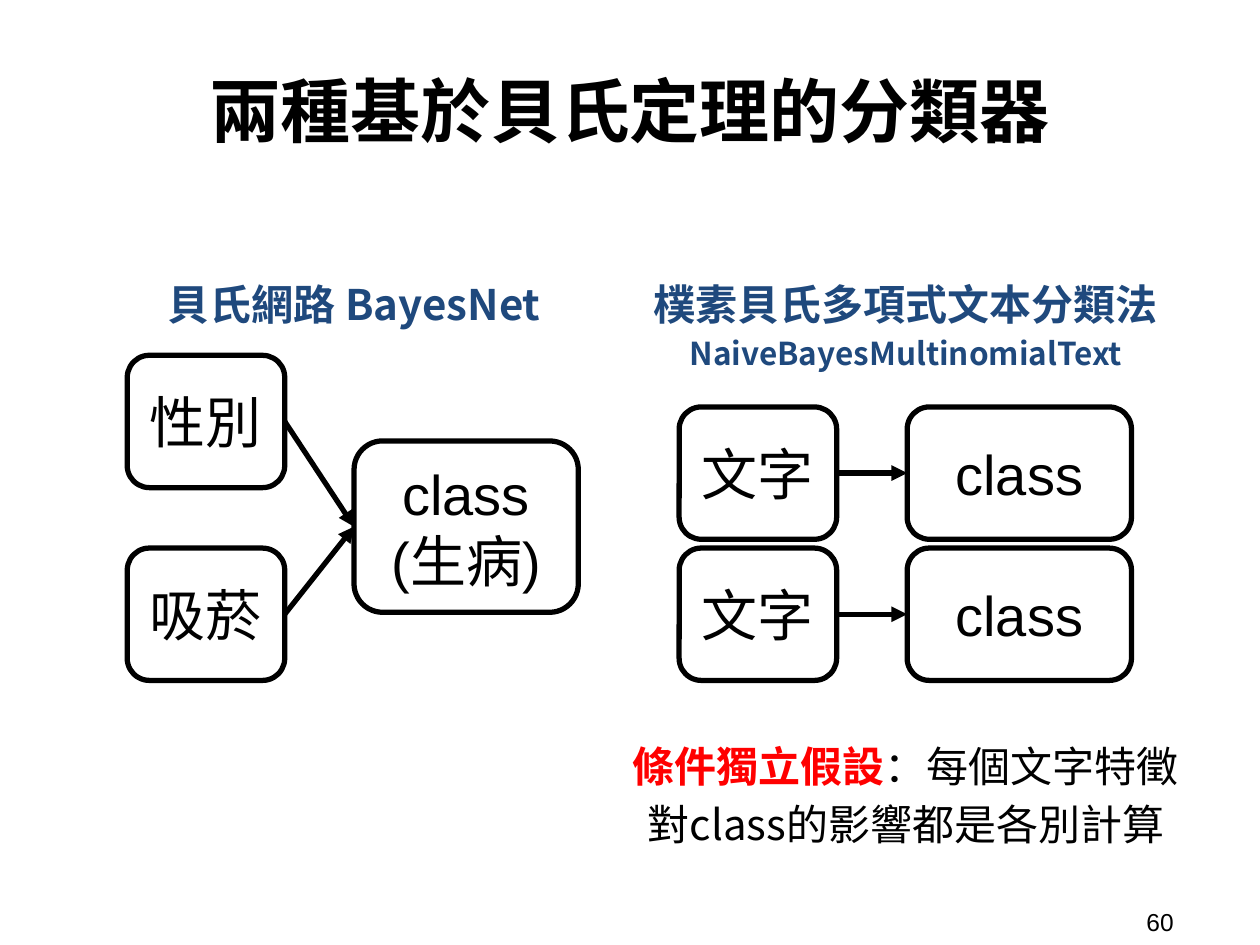
"""Build a slide comparing two classifiers based on Bayes' theorem."""
from dataclasses import dataclass

from lxml.etree import SubElement
from pptx import Presentation
from pptx.dml.color import RGBColor
from pptx.enum.shapes import MSO_CONNECTOR, MSO_SHAPE
from pptx.enum.text import MSO_ANCHOR, PP_ALIGN
from pptx.oxml.ns import qn
from pptx.util import Inches, Pt


@dataclass(frozen=True)
class Theme:
    black: RGBColor = RGBColor(0x00, 0x00, 0x00)
    white: RGBColor = RGBColor(0xFF, 0xFF, 0xFF)
    blue: RGBColor = RGBColor(0x1F, 0x49, 0x7D)
    red: RGBColor = RGBColor(0xFF, 0x00, 0x00)
    latin: str = "Arial"
    chinese: str = "Noto Sans CJK TC"
    title: int = 40
    node: int = 32
    heading: int = 24
    subheading: int = 18
    number: int = 14
    line: int = 3


theme = Theme()


def add_run(paragraph, text, size, color, font=theme.chinese, bold=False):
    run = paragraph.add_run()
    run.text = text
    run.font.name = font
    run.font.size = Pt(size)
    run.font.bold = bold
    run.font.color.rgb = color
    east_asian = SubElement(run._r.get_or_add_rPr(), qn("a:ea"))
    east_asian.set("typeface", theme.chinese)


def set_frame(shape, anchor, margin=0.1):
    frame = shape.text_frame
    frame.word_wrap = True
    frame.vertical_anchor = anchor
    frame.margin_left = frame.margin_right = Inches(0.1)
    frame.margin_top = frame.margin_bottom = Inches(margin)
    return frame


presentation = Presentation()
presentation.slide_width = Inches(10)
presentation.slide_height = Inches(7.5)
slide = presentation.slides.add_slide(presentation.slide_layouts[5])

title = slide.shapes.title
title.left, title.top = Inches(0.52), Inches(0.19)
title.width, title.height = Inches(8.96), Inches(1.36)
paragraph = set_frame(title, MSO_ANCHOR.MIDDLE).paragraphs[0]
paragraph.alignment = PP_ALIGN.CENTER
add_run(paragraph, "兩種基於貝氏定理的分類器", theme.title, theme.black, bold=True)

texts = [
    (0.69, 2.05, 4.24, 0.64, [
        [("貝氏網路 BayesNet", theme.heading, theme.blue, True)],
    ]),
    (5.07, 2.05, 4.24, 0.64, [
        [("樸素貝氏多項式文本分類法", theme.heading, theme.blue, True)],
        [("NaiveBayesMultinomialText", theme.subheading, theme.blue, True)],
    ]),
    (4.9, 5.72, 4.58, 1.36, [
        [("條件獨立假設", theme.heading, theme.red, True),
         ("：每個文字特徵對class的影響都是各別計算", theme.heading, theme.black, False)],
    ]),
]
for left, top, width, height, lines in texts:
    box = slide.shapes.add_textbox(Inches(left), Inches(top), Inches(width), Inches(height))
    paragraph = set_frame(box, MSO_ANCHOR.TOP).paragraphs[0]
    paragraph.alignment = PP_ALIGN.CENTER
    paragraph.line_spacing = 1.15
    for index, runs in enumerate(lines):
        if index:
            paragraph.add_line_break()
        for text, size, color, bold in runs:
            add_run(paragraph, text, size, color, bold=bold)

feature_size, class_size = (1.25, 1.05), (1.78, 1.05)
nodes = {
    "illness": (2.81, 3.5, (1.78, 1.36), ["class", "(生病)"]),
    "gender": (1.01, 2.82, feature_size, ["性別"]),
    "smoking": (1.01, 4.35, feature_size, ["吸菸"]),
    "upper word": (5.39, 3.23, feature_size, ["文字"]),
    "upper class": (7.2, 3.23, class_size, ["class"]),
    "lower word": (5.39, 4.35, feature_size, ["文字"]),
    "lower class": (7.2, 4.35, class_size, ["class"]),
}
shapes = {}
for name, (left, top, (width, height), lines) in nodes.items():
    shape = slide.shapes.add_shape(
        MSO_SHAPE.ROUNDED_RECTANGLE, Inches(left), Inches(top), Inches(width), Inches(height))
    shape.shadow.inherit = False
    shape.fill.solid()
    shape.fill.fore_color.rgb = theme.white
    shape.line.color.rgb = theme.black
    shape.line.width = Pt(theme.line)
    frame = set_frame(shape, MSO_ANCHOR.MIDDLE)
    for index, text in enumerate(lines):
        paragraph = frame.add_paragraph() if index else frame.paragraphs[0]
        paragraph.alignment = PP_ALIGN.CENTER
        add_run(paragraph, text, theme.node, theme.black, theme.latin)
    shapes[name] = shape

arrows = [
    ("gender", "illness"),
    ("smoking", "illness"),
    ("upper word", "upper class"),
    ("lower word", "lower class"),
]
for source, target in arrows:
    arrow = slide.shapes.add_connector(MSO_CONNECTOR.STRAIGHT, 0, 0, 0, 0)
    arrow.begin_connect(shapes[source], 3)
    arrow.end_connect(shapes[target], 1)
    arrow.line.color.rgb = theme.black
    arrow.line.width = Pt(theme.line)
    SubElement(arrow.line._get_or_add_ln(), qn("a:tailEnd")).set("type", "triangle")
    SubElement(arrow._element.spPr, qn("a:effectLst"))

number = slide.shapes.add_textbox(Inches(9), Inches(7.17), Inches(0.92), Inches(0.29))
paragraph = set_frame(number, MSO_ANCHOR.MIDDLE, 0.05).paragraphs[0]
add_run(paragraph, "60", theme.number, theme.black, theme.latin)

presentation.save("out.pptx")
